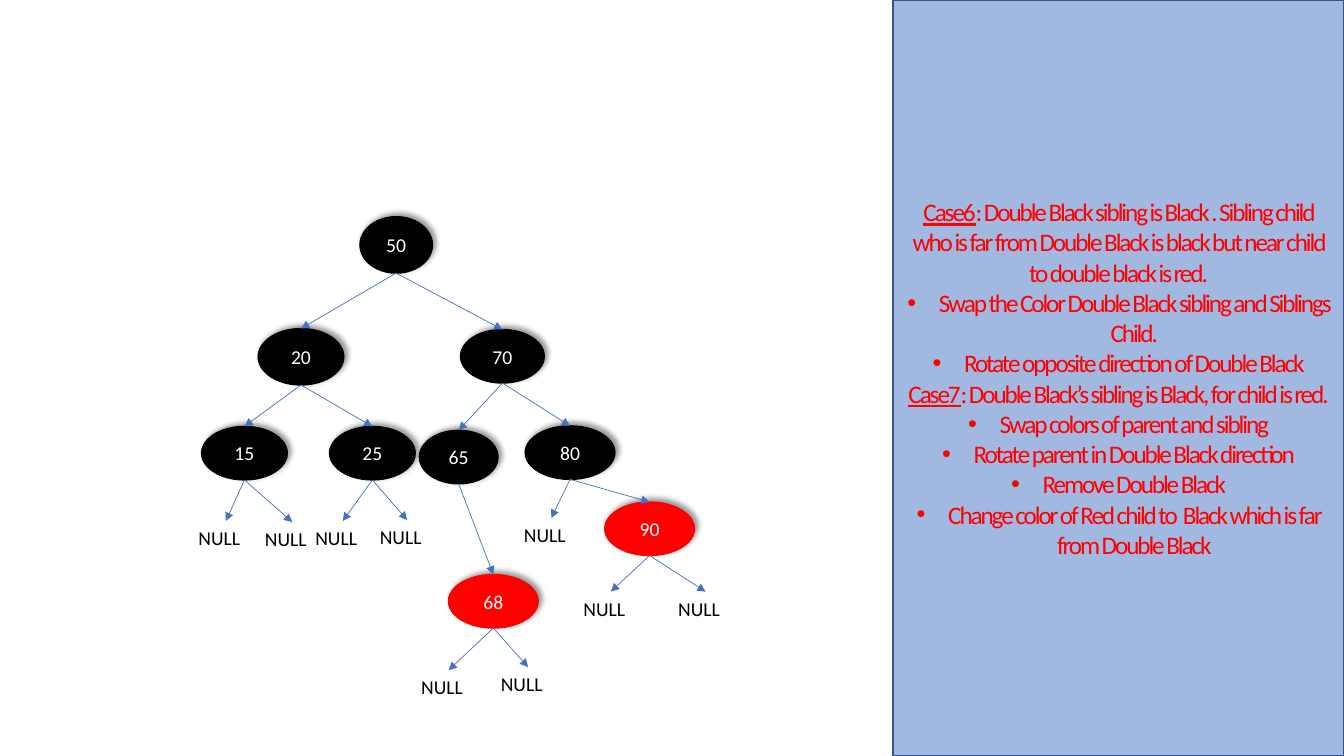
from dataclasses import dataclass

from lxml.etree import SubElement
from pptx import Presentation
from pptx.dml.color import RGBColor
from pptx.enum.shapes import MSO_CONNECTOR as CONN, MSO_SHAPE as SHAPE
from pptx.enum.text import MSO_ANCHOR as ANCHOR, PP_ALIGN as ALIGN
from pptx.oxml.ns import qn
from pptx.shapes.autoshape import Shape
from pptx.slide import Slide
from pptx.text.text import Font
from pptx.util import Pt

BLACK, RED, WHITE, BLUE, NAVY = "000000", "FF0000", "FFFFFF", "4472C4", "325491"
NULL_W, NULL_H = 53.3, 24.5
INDENT = 22.5


@dataclass
class Node:
    key: str
    parent: str
    x: float  # centre
    y: float  # top
    w: float
    h: float = 38.2
    color: str = BLACK


@dataclass
class Null:
    parent: str
    x: float  # centre
    y: float  # top


@dataclass
class Rule:
    text: str
    case: str = ""  # underlined lead-in; a rule without one is a bullet


NODES = [
    Node("50", "", 283, 154.8, 51.8, 40.3),
    Node("20", "50", 215, 234.7, 61.2, 40.3),
    Node("70", "50", 358.9, 235.4, 59.8),
    Node("15", "20", 174.6, 304.6, 61.2),
    Node("25", "20", 266, 304.6, 61.2),
    Node("65", "70", 327.6, 307.4, 56.2),
    Node("80", "70", 407.2, 304.2, 64.1),
    Node("68", "65", 352.4, 410.4, 64.1, color=RED),
    Node("90", "80", 464, 358.6, 64.1, color=RED),
]
NULLS = [
    Null("15", 161.3, 372.2), Null("15", 208.8, 373),
    Null("25", 244.8, 372.2), Null("25", 290.9, 371.5),
    Null("80", 393.8, 370.1),
    Null("68", 320.4, 478.8), Null("68", 377.3, 476.6),
    Null("90", 436.3, 422.6), Null("90", 504, 422.6),
]
RULES = [
    Rule(": Double Black sibling is Black . Sibling child who is far from "
         "Double Black is black but near child to double black is red.", "Case6"),
    Rule("Swap the Color Double Black sibling and Siblings Child."),
    Rule("Rotate opposite direction of Double Black"),
    Rule(": Double Black’s sibling is Black, for child is red.", "Case7"),
    Rule("Swap colors of parent and sibling"),
    Rule("Rotate parent in Double Black direction"),
    Rule("Remove Double Black"),
    Rule("Change color of Red child to  Black which is far from Double Black"),
]


def rgb(color: str) -> RGBColor:
    return RGBColor.from_string(color)


def style_font(font: Font, size: float, color: str) -> None:
    font.name = "Calibri"
    font.size = Pt(size)
    font.color.rgb = rgb(color)


def add_filled(s: Slide, kind: SHAPE, x: float, y: float, w: float, h: float,
               fill: str, line: str) -> Shape:
    sp = s.shapes.add_shape(kind, Pt(x), Pt(y), Pt(w), Pt(h))
    sp.shadow.inherit = False
    sp.fill.solid()
    sp.fill.fore_color.rgb = rgb(fill)
    sp.line.color.rgb = rgb(line)
    sp.line.width = Pt(1)
    sp.text_frame.vertical_anchor = ANCHOR.MIDDLE
    return sp


def add_shadow(sp: Shape) -> None:
    effects = sp.element.spPr.find(qn("a:effectLst"))
    shadow = SubElement(effects, qn("a:outerShdw"), blurRad=str(Pt(4)),
                        dist=str(Pt(3)), dir="18900000", rotWithShape="0")
    color = SubElement(shadow, qn("a:srgbClr"), val=BLACK)
    SubElement(color, qn("a:alpha"), val="40000")


def add_node(s: Slide, n: Node) -> None:
    sp = add_filled(s, SHAPE.OVAL, n.x - n.w / 2, n.y, n.w, n.h, n.color, n.color)
    add_shadow(sp)
    sp.text_frame.text = n.key
    p = sp.text_frame.paragraphs[0]
    p.alignment = ALIGN.CENTER
    style_font(p.runs[0].font, 14, WHITE)


def add_null(s: Slide, n: Null) -> None:
    tf = s.shapes.add_textbox(Pt(n.x - NULL_W / 2), Pt(n.y),
                              Pt(NULL_W), Pt(NULL_H)).text_frame
    tf.word_wrap = True
    tf.text = "NULL"
    style_font(tf.paragraphs[0].runs[0].font, 14, BLACK)


def add_edge(s: Slide, parent: Node, child: Node | Null) -> None:
    """Arrow from the bottom of the parent to the top of the child."""
    edge = s.shapes.add_connector(CONN.STRAIGHT, Pt(parent.x), Pt(parent.y + parent.h),
                                  Pt(child.x), Pt(child.y))
    edge.line.color.rgb = rgb(BLUE)
    edge.line.width = Pt(0.5)
    SubElement(edge.line._get_or_add_ln(), qn("a:tailEnd"), type="triangle")
    SubElement(edge.element.spPr, qn("a:effectLst"))


def add_rules(s: Slide) -> None:
    panel = add_filled(s, SHAPE.RECTANGLE, 637.9, 0, 322.1, 540, BLUE, NAVY)
    color = panel.element.spPr.find(qn("a:solidFill"))[0]
    SubElement(color, qn("a:alpha"), val="50000")
    tf = panel.text_frame
    tf.word_wrap = True
    for i, rule in enumerate(RULES):
        p = tf.add_paragraph() if i else tf.paragraphs[0]
        p.alignment = ALIGN.CENTER
        if rule.case:
            r = p.add_run()
            r.text = rule.case
            r.font.underline = True
        else:
            pPr = p._p.get_or_add_pPr()
            pPr.set("marL", str(Pt(INDENT)))
            pPr.set("indent", str(-Pt(INDENT)))
            SubElement(pPr, qn("a:buFont"), typeface="Arial")
            SubElement(pPr, qn("a:buChar"), char="•")
        p.add_run().text = rule.text
        for r in p.runs:
            style_font(r.font, 18, RED)
            r._r.get_or_add_rPr().set("spc", "-150")


def main() -> None:
    prs = Presentation()
    prs.slide_width, prs.slide_height = Pt(960), Pt(540)
    s = prs.slides.add_slide(prs.slide_layouts[6])
    add_rules(s)
    for node in NODES:
        add_node(s, node)
    for null in NULLS:
        add_null(s, null)
    by_key = {n.key: n for n in NODES}
    for child in NODES + NULLS:
        if child.parent:
            add_edge(s, by_key[child.parent], child)
    prs.save("out.pptx")


if __name__ == "__main__":
    main()
